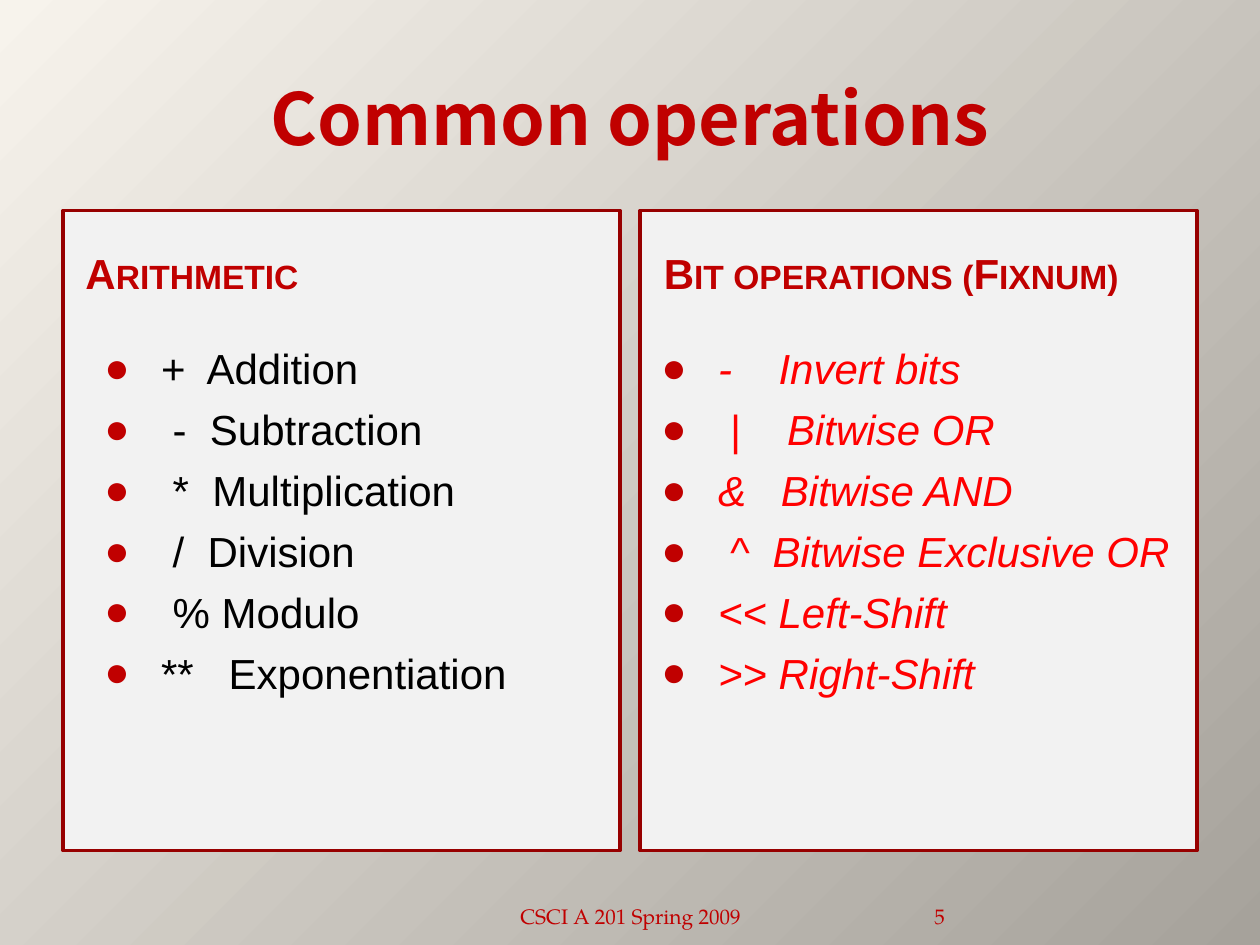
from lxml import etree
from pptx import Presentation
from pptx import util as u
from pptx.dml.color import RGBColor
from pptx.enum import shapes, text
from pptx.oxml.ns import qn

RED = "C00000"
PANEL = "F2F2F2"
ARITHMETIC = ["+  Addition", " -  Subtraction", " *  Multiplication",
              " /  Division", " % Modulo", "**   Exponentiation"]
BIT_OPERATIONS = ["-    Invert bits", " |    Bitwise OR", "&   Bitwise AND",
                  " ^  Bitwise Exclusive OR", "<< Left-Shift", ">> Right-Shift"]


def rgb(value):
    return RGBColor.from_string(value)


def set_background(s):
    fill = s.background.fill
    fill.gradient()
    fill.gradient_angle = 315
    for stop, color, position in zip(fill.gradient_stops, ("F7F3EC", "A6A29B"), (0, 1)):
        stop.color.rgb = rgb(color)
        stop.position = position


def add_panel(s, left):
    sp = s.shapes.add_shape(shapes.MSO_SHAPE.RECTANGLE, u.Inches(left),
                            u.Inches(1.67), u.Inches(4.42), u.Inches(5.08))
    sp.shadow.inherit = False
    sp.fill.solid()
    sp.fill.fore_color.rgb = rgb(PANEL)
    sp.line.color.rgb = rgb("970000")
    sp.line.width = u.Pt(2)


def add_text(s, box, lines, size, font="Arial", color=RED, bold=False, italic=False,
             align=text.PP_ALIGN.LEFT, anchor=text.MSO_ANCHOR.MIDDLE):
    sp = s.shapes.add_textbox(*(u.Inches(v) for v in box))
    tf = sp.text_frame
    tf.word_wrap = True
    tf.vertical_anchor = anchor
    tf.text = "\n".join(lines)
    for p in tf.paragraphs:
        p.alignment = align
        for r in p.runs:
            r.font.size = u.Pt(size)
            r.font.name = font
            r.font.color.rgb = rgb(color)
            r.font.bold = bold
            r.font.italic = italic
    return sp


def add_heading(s, left, heading):
    sp = add_text(s, (left, 1.75, 4.25, 0.83), [heading], 24, bold=True)
    sp.fill.solid()
    sp.fill.fore_color.rgb = rgb(PANEL)
    r = sp.text_frame.paragraphs[0].runs[0]
    r._r.get_or_add_rPr().set("cap", "small")


def add_bullets(s, left, width, lines, color, italic=False):
    sp = add_text(s, (left, 2.67, width, 4), lines, 24, color=color, italic=italic,
                  anchor=text.MSO_ANCHOR.TOP)
    for i, p in enumerate(sp.text_frame.paragraphs):
        if i:
            p.space_before = u.Pt(6)
        pPr = p._p.get_or_add_pPr()
        pPr.set("marL", str(u.Inches(0.6)))
        pPr.set("indent", str(u.Inches(-0.45)))
        bullet_color = etree.SubElement(pPr, qn("a:buClr"))
        etree.SubElement(bullet_color, qn("a:srgbClr"), val=RED)
        etree.SubElement(pPr, qn("a:buFont"), typeface="Arial")
        etree.SubElement(pPr, qn("a:buChar"), char="●")
    return sp


def add_footer(s, left, width, line, align):
    sp = add_text(s, (left, 7.02, width, 0.4), [line], 12, font="TeX Gyre Pagella",
                  align=align, anchor=text.MSO_ANCHOR.BOTTOM)
    return sp.text_frame


def main():
    prs = Presentation()
    prs.slide_width, prs.slide_height = u.Inches(10), u.Inches(7.5)
    s = prs.slides.add_slide(prs.slide_layouts[6])
    set_background(s)
    for left in (5.08, 0.5):
        add_panel(s, left)
    add_text(s, (0.5, 0.3, 9, 1.25), ["Common operations"], 41,
             font="Noto Sans CJK SC", bold=True, align=text.PP_ALIGN.CENTER)
    add_heading(s, 0.58, "Arithmetic")
    add_heading(s, 5.17, "Bit operations (Fixnum)")
    arithmetic = add_bullets(s, 0.58, 4.25, ARITHMETIC, "000000")
    arithmetic.fill.solid()
    arithmetic.fill.fore_color.rgb = rgb(PANEL)
    add_bullets(s, 5, 4.42, BIT_OPERATIONS, "FF0000", italic=True)
    add_footer(s, 3.42, 3.17, "CSCI A 201 Spring 2009", text.PP_ALIGN.CENTER)
    number = add_footer(s, 6.67, 0.83, "5", text.PP_ALIGN.RIGHT)
    number.margin_left = number.margin_right = 0
    prs.save("out.pptx")


if __name__ == "__main__":
    main()
